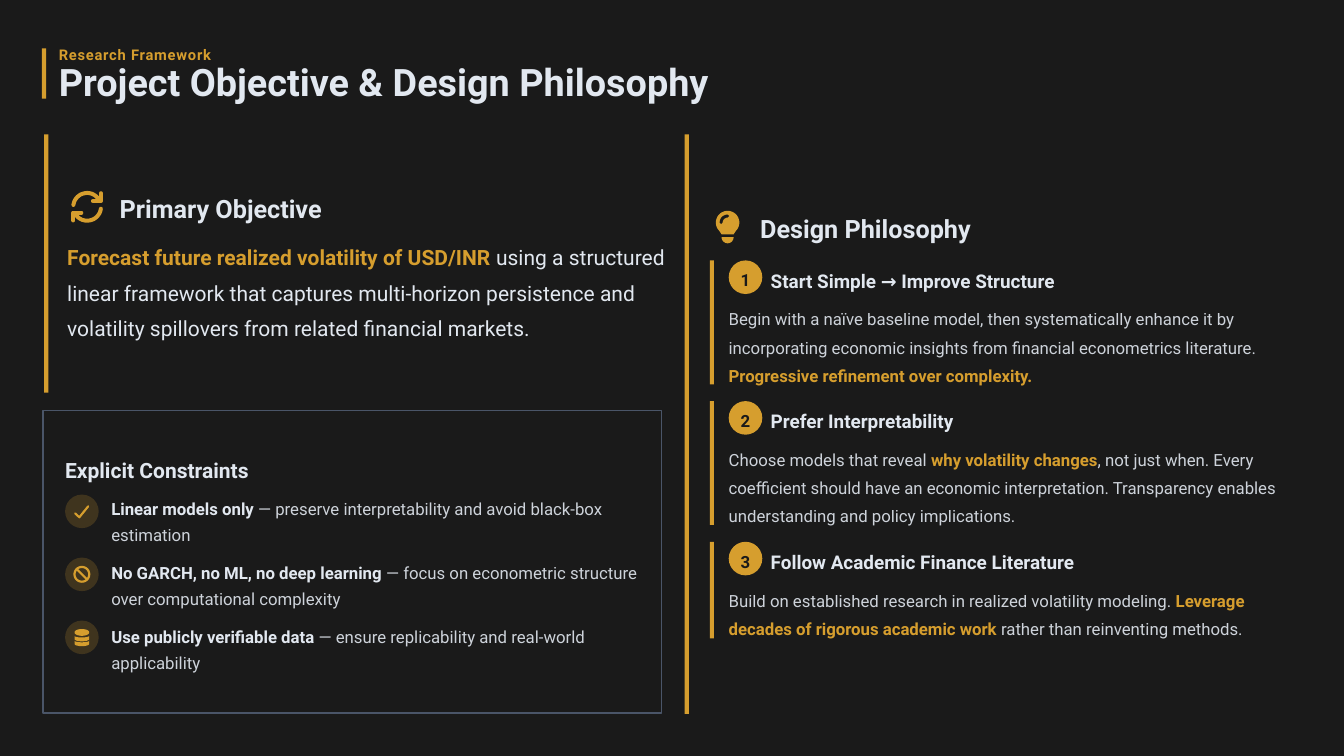
from dataclasses import dataclass
from math import cos, radians, sin

from lxml import etree
from pptx import Presentation
from pptx.dml.color import RGBColor
from pptx.enum.shapes import MSO_SHAPE
from pptx.enum.text import MSO_ANCHOR, MSO_AUTO_SIZE, PP_ALIGN
from pptx.oxml.ns import qn
from pptx.util import Emu, Pt

PX = 12700  # EMU per px on a 1280 x 720 slide
ICON_UNIT = PX / 10  # icon outlines are drawn in tenths of a px
RECT, OVAL = MSO_SHAPE.RECTANGLE, MSO_SHAPE.OVAL
LEFT, CENTER = PP_ALIGN.LEFT, PP_ALIGN.CENTER
MIDDLE, NO_FIT = MSO_ANCHOR.MIDDLE, MSO_AUTO_SIZE.NONE


@dataclass(frozen=True)
class Theme:
    font: str = "Roboto"
    background: RGBColor = RGBColor(0x1A, 0x1A, 0x1A)
    gold: RGBColor = RGBColor(0xD6, 0x9E, 0x2E)
    pale: RGBColor = RGBColor(0xE2, 0xE8, 0xF0)
    border: RGBColor = RGBColor(0x4A, 0x55, 0x68)
    eyebrow: int = 14
    title: int = 36
    section: int = 24
    lead: int = 20
    step: int = 18
    body: int = 16


THEME = Theme()


@dataclass(frozen=True)
class Box:
    x: int
    y: int
    w: int
    h: int

    def emu(self) -> list[Emu]:
        return [Emu(n * PX) for n in (self.x, self.y, self.w, self.h)]


@dataclass(frozen=True)
class Span:
    text: str
    color: RGBColor = THEME.pale
    bold: bool = False
    alpha: int = 100


@dataclass(frozen=True)
class Step:
    heading: str
    heading_width: int
    body_height: int
    spans: list[Span]


def strong(text: str, color: RGBColor = THEME.pale) -> Span:
    return Span(text, color, True)


def soft(text: str) -> Span:
    return Span(text, alpha=90)


def set_alpha(element, percent: int) -> None:
    color = element.find(".//" + qn("a:srgbClr"))
    etree.SubElement(color, qn("a:alpha"), val=str(percent * 1000))


def write(shape, paragraphs: list[list[Span]], size: int, spacing: float,
          align=LEFT, gap: int = 0, wrap: bool = True, tracking: int = 0) -> None:
    frame = shape.text_frame
    frame.auto_size, frame.word_wrap, frame.vertical_anchor = NO_FIT, wrap, MIDDLE
    frame.margin_left = frame.margin_top = frame.margin_right = frame.margin_bottom = 0
    for index, spans in enumerate(paragraphs):
        para = frame.paragraphs[0] if index == 0 else frame.add_paragraph()
        para.alignment, para.line_spacing = align, spacing
        para.space_before, para.space_after = Pt(gap if index else 0), Pt(0)
        props = para._p.get_or_add_pPr()
        props.set("marL", "0")
        props.set("indent", "0")
        etree.SubElement(props, qn("a:buNone"))
        para.font.name, para.font.size = THEME.font, Pt(size)
        for span in spans:
            run = para.add_run()
            run.text = span.text
            run.font.bold, run.font.color.rgb = span.bold, span.color
            if span.alpha < 100:
                set_alpha(run._r, span.alpha)
            if tracking:
                run._r.get_or_add_rPr().set("spc", str(tracking))


def add_text(shapes, box: Box, spans: list[Span], size: int, spacing: float,
             wrap: bool = False, tracking: int = 0) -> None:
    write(shapes.add_textbox(*box.emu()), [spans], size, spacing, wrap=wrap, tracking=tracking)


def fill_placeholder(shape, box: Box, paragraphs: list[list[Span]], size: int,
                     spacing: float, gap: int = 0) -> None:
    shape.left, shape.top, shape.width, shape.height = box.emu()
    write(shape, paragraphs, size, spacing, gap=gap)


def add_solid(shapes, kind, box: Box, alpha: int = 100):
    solid = shapes.add_shape(kind, *box.emu())
    solid.shadow.inherit = False
    solid.fill.solid()
    solid.fill.fore_color.rgb = THEME.gold
    solid.line.fill.background()
    if alpha < 100:
        set_alpha(solid._element.spPr, alpha)
    return solid


def arc(cx: int, cy: int, rx: int, ry: int, start: int, end: int) -> list[tuple[float, float]]:
    turns = [radians(start + (end - start) * i / 36) for i in range(37)]
    return [(cx + rx * cos(t), cy + ry * sin(t)) for t in turns]


def add_icon(shapes, x: int, y: int, outlines: list, stroke: float = 0,
             color: RGBColor = THEME.gold) -> None:
    """Draw outlines around the centre x, y: filled, or open lines if stroke is given."""
    builder = shapes.build_freeform(*outlines[0][0], scale=ICON_UNIT)
    for index, points in enumerate(outlines):
        if index:
            builder.move_to(*points[0])
        builder.add_line_segments(points[1:], close=not stroke)
    icon = builder.convert_to_shape(Emu(x * PX), Emu(y * PX))
    icon.shadow.inherit = False
    if stroke:
        icon.fill.background()
        icon.line.color.rgb, icon.line.width = color, Pt(stroke)
        etree.SubElement(icon.line._get_or_add_ln(), qn("a:round"))
        icon.line._get_or_add_ln().set("cap", "rnd")
    else:
        icon.fill.solid()
        icon.fill.fore_color.rgb = color
        icon.line.fill.background()


def disk_band(y: int) -> list[tuple[float, float]]:
    return arc(0, y, 70, 15, 180, 0) + arc(0, y + 30, 70, 22, 0, 180)


# Icon outlines, in tenths of a px from the icon centre
HALF_CYCLE = [arc(0, 0, 132, 132, 188, 318), [(55, -55), (132, -55), (132, -130)]]
CYCLE = HALF_CYCLE + [[(-x, -y) for x, y in part] for part in HALF_CYCLE]
BULB = [arc(0, 0, 112, 112, 135, 405) + [(57, 112), (-57, 112)], arc(0, 140, 57, 57, 0, 180)]
BULB_SHINE = [arc(0, 0, 62, 62, 180, 270)]
CHECK = [[(-64, 20), (-24, 57), (60, -48)]]
BAN = [arc(0, 0, 70, 70, 0, 360), [(-49, -49), (49, 49)]]
DATABASE = [arc(0, -47, 70, 32, 0, 360), disk_band(-14), disk_band(32)]

CONSTRAINTS = [
    [strong("Linear models only"),
     soft(" — preserve interpretability and avoid black-box estimation")],
    [strong("No GARCH, no ML, no deep learning"),
     soft(" — focus on econometric structure over computational complexity")],
    [strong("Use publicly verifiable data"),
     soft(" — ensure replicability and real-world applicability")],
]
CONSTRAINT_ICONS = [(CHECK, 2), (BAN, 2.1), (DATABASE, 0)]
STEPS = [
    Step("Start Simple → Improve Structure", 273, 78, [
        soft("Begin with a naïve baseline model, then systematically enhance it by "
             "incorporating economic insights from financial econometrics literature. "),
        strong("Progressive refinement over complexity.", THEME.gold)]),
    Step("Prefer Interpretability", 178, 78, [
        soft("Choose models that reveal "), strong("why volatility changes", THEME.gold),
        soft(", not just when. Every coefficient should have an economic interpretation. "
             "Transparency enables understanding and policy implications.")]),
    Step("Follow Academic Finance Literature", 292, 52, [
        soft("Build on established research in realized volatility modeling. "),
        strong("Leverage decades of rigorous academic work", THEME.gold),
        soft(" rather than reinventing methods.")]),
]


def add_step(shapes, number: int, step: Step) -> None:
    top = 248 + 134 * (number - 1)
    add_solid(shapes, RECT, Box(676, top, 4, 40 + step.body_height))
    badge = add_solid(shapes, OVAL, Box(694, top, 32, 32))
    write(badge, [[strong(str(number), THEME.background)]], THEME.body, 1.3, CENTER, wrap=False)
    add_text(shapes, Box(734, top + 2, step.heading_width, 28), [strong(step.heading)],
             THEME.step, 1.3)
    add_text(shapes, Box(694, top + 40, 554, step.body_height), step.spans, THEME.body, 1.4, True)


def main() -> None:
    deck = Presentation()
    deck.slide_width, deck.slide_height = Emu(1280 * PX), Emu(720 * PX)
    slide = deck.slides.add_slide(deck.slide_layouts[1])
    slide.background.fill.solid()
    slide.background.fill.fore_color.rgb = THEME.background
    shapes = slide.shapes

    # Header
    add_solid(shapes, RECT, Box(40, 46, 4, 48))
    add_text(shapes, Box(56, 40, 612, 20), [strong("Research Framework", THEME.gold)],
             THEME.eyebrow, 1.2, tracking=70)
    fill_placeholder(shapes.title, Box(56, 60, 640, 40),
                     [[strong("Project Objective & Design Philosophy")]], THEME.title, 0.9)

    # Primary objective
    add_solid(shapes, RECT, Box(42, 128, 4, 246))
    add_icon(shapes, 83, 197, CYCLE, 3.8)
    add_text(shapes, Box(114, 181, 199, 32), [strong("Primary Objective")], THEME.section, 1.1)
    add_text(shapes, Box(64, 225, 576, 98), [
        strong("Forecast future realized volatility of USD/INR", THEME.gold),
        Span(" using a structured linear framework that captures multi-horizon persistence "
             "and volatility spillovers from related financial markets.")], THEME.lead, 1.4, True)

    # Explicit constraints
    panel = shapes.add_shape(RECT, *Box(41, 391, 589, 288).emu())
    panel.shadow.inherit = False
    panel.fill.background()
    panel.line.color.rgb, panel.line.width = THEME.border, Pt(1.6)
    add_text(shapes, Box(62, 431, 557, 28), [strong("Explicit Constraints")], THEME.lead, 1.2)
    for row, (outlines, stroke) in enumerate(CONSTRAINT_ICONS):
        top = 471 + 60 * row
        add_solid(shapes, OVAL, Box(62, top, 32, 32), alpha=20)
        add_icon(shapes, 78, top + 16, outlines, stroke)
    fill_placeholder(slide.placeholders[1], Box(106, 471, 511, 168), CONSTRAINTS,
                     THEME.body, 1.3, gap=11)

    # Design philosophy
    add_solid(shapes, RECT, Box(652, 128, 4, 552))
    add_icon(shapes, 693, 212, BULB)
    add_icon(shapes, 693, 212, BULB_SHINE, 2.8, THEME.background)
    add_text(shapes, Box(724, 200, 208, 32), [strong("Design Philosophy")], THEME.section, 1.1)
    for number, step in enumerate(STEPS, 1):
        add_step(shapes, number, step)

    deck.save("out.pptx")


if __name__ == "__main__":
    main()
